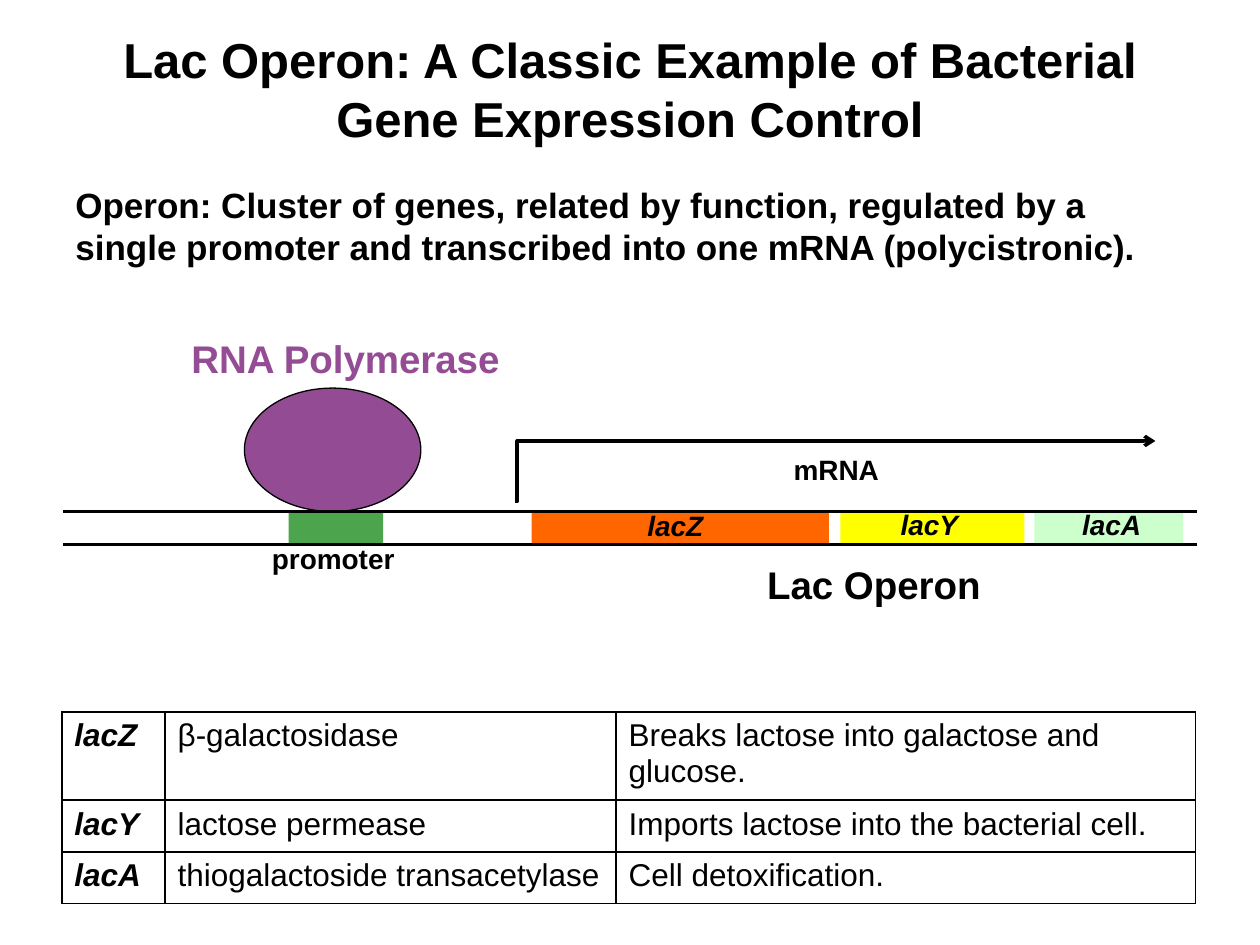
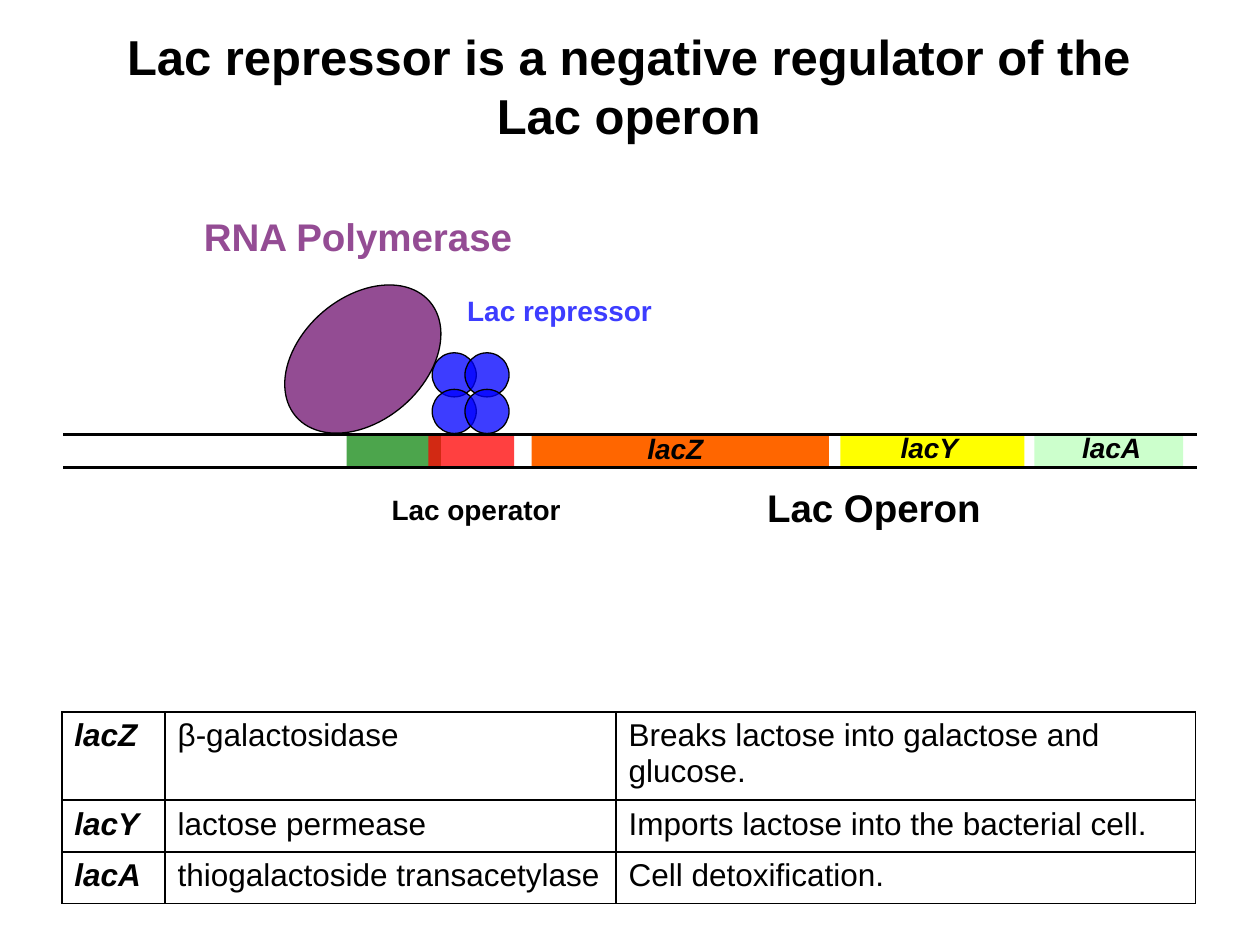
from lxml import etree
from pptx import Presentation
from pptx import util as u
from pptx.dml.color import RGBColor
from pptx.enum import shapes, text
from pptx.oxml import ns

BLACK = RGBColor(0, 0, 0)
PLUM = RGBColor(0x66, 0, 0x66)
MAUVE = RGBColor(0x94, 0x4C, 0x94)
GREEN = RGBColor(0, 0x80, 0)
RED = RGBColor(0xFF, 0, 0)
BLUE = RGBColor(0, 0, 0xFF)
SKY = RGBColor(0x3D, 0x3D, 0xFF)
ORANGE = RGBColor(0xFF, 0x66, 0)
YELLOW = RGBColor(0xFF, 0xFF, 0)
MINT = RGBColor(0xCC, 0xFF, 0xCC)

RECT = shapes.MSO_SHAPE.RECTANGLE
OVAL = shapes.MSO_SHAPE.OVAL
TALL = 0.27

GENES = [
    ("lacZ", 3.72, 2.36, ORANGE, 4.54, -0.07, 0.71),
    ("lacY", 6.17, 1.46, YELLOW, 6.55, -0.08, 0.74),
    ("lacA", 7.71, 1.18, MINT, 7.99, -0.08, 0.75),
]
ROWS = [
    ("lacZ", "β-galactosidase", "Breaks lactose into galactose and glucose."),
    ("lacY", "lactose permease", "Imports lactose into the bacterial cell."),
    ("lacA", "thiogalactoside transacetylase", "Cell detoxification."),
]


def box(*sides):
    return [u.Inches(side) for side in sides]


def style(font, size, color=BLACK, bold=True, italic=False):
    look = {"name": "Arial", "size": u.Pt(size), "bold": bold, "italic": italic}
    for key, value in look.items():
        setattr(font, key, value)
    font.color.rgb = color


def sub(node, tag, **attrs):
    return etree.SubElement(node, ns.qn(tag), **attrs)


def label(slide, words, place, size=16, color=BLACK, italic=False, wrap=False):
    frame = slide.shapes.add_textbox(*box(*place)).text_frame
    frame.word_wrap = wrap
    frame.text = words
    style(frame.paragraphs[0].font, size, color, italic=italic)


def shape(slide, kind, place, color, alpha=100, edge=False):
    item = slide.shapes.add_shape(kind, *box(*place))
    item.shadow.inherit = False
    item.fill.solid()
    item.fill.fore_color.rgb = color
    if alpha < 100:
        tone = item.fill._xPr.find(".//" + ns.qn("a:srgbClr"))
        sub(tone, "a:alpha", val=str(alpha * 1000))
    if edge:
        item.line.color.rgb = BLACK
        item.line.width = u.Pt(0.75)
    else:
        item.line.fill.background()
    return item


def line(slide, ends, kind=shapes.MSO_CONNECTOR.STRAIGHT):
    item = slide.shapes.add_connector(kind, *box(*ends))
    item.line.color.rgb = BLACK
    item.line.width = u.Pt(2)
    sub(item._element.spPr, "a:effectLst")
    return item


def title(slide, words, place):
    head = slide.shapes.title
    for key, value in zip(("left", "top", "width", "height"), box(*place)):
        setattr(head, key, value)
    frame = head.text_frame
    frame.text = words
    look = {"word_wrap": True, "auto_size": text.MSO_AUTO_SIZE.NONE,
            "vertical_anchor": text.MSO_ANCHOR.MIDDLE}
    for key, value in look.items():
        setattr(frame, key, value)
    frame.paragraphs[0].alignment = text.PP_ALIGN.CENTER
    style(frame.paragraphs[0].font, 28)


def enzyme(slide, x, y, name_x, name_y, turn=0):
    oval = shape(slide, OVAL, (x, y, 1.4, 0.98), PLUM, 70, True)
    oval.rotation = turn
    label(slide, "RNA Polymerase", (x + name_x, y + name_y, 2.68, 0.47), 22, MAUVE)


def operon(slide, x, y, sites):
    for left, wide, color, alpha in sites:
        shape(slide, RECT, (x + left, y, wide, TALL), color, alpha)
    for name, left, wide, color, name_x, name_y, name_w in GENES:
        shape(slide, RECT, (x + left, y, wide, TALL), color)
        label(slide, name, (x + name_x, y + name_y, name_w, 0.4), italic=True)
    label(slide, "Lac Operon", (x + 5.49, y + 0.34, 1.92, 0.47), 22)
    for strand in (y, y + 0.26):
        line(slide, (x, strand, x + 9, strand))


def mrna(slide, x, y):
    arrow = line(slide, (x, y + 0.48, x + 5.08, y), shapes.MSO_CONNECTOR.ELBOW)
    form = arrow._element.spPr.find(ns.qn("a:prstGeom"))
    guides = form.find(ns.qn("a:avLst"))
    if guides is None:
        guides = sub(form, "a:avLst")
    sub(guides, "a:gd", name="adj1", fmla="val 300")
    sub(arrow.line._get_or_add_ln(), "a:tailEnd", type="arrow")
    label(slide, "mRNA", (x + 2.11, y + 0.04, 0.97, 0.4))


def repress(slide, x, y):
    for row in range(2):
        for col in range(2):
            place = (x + col * 0.26, y + row * 0.29, 0.35, 0.35)
            shape(slide, OVAL, place, BLUE, 76, True)
    label(slide, "Lac repressor", (x + 0.18, y - 0.52, 1.87, 0.4), color=SKY)


def border(cell):
    props = cell._tc.get_or_add_tcPr()
    for side in ("a:lnL", "a:lnR", "a:lnT", "a:lnB"):
        edge = sub(props, side, w=str(u.Pt(1)))
        sub(sub(edge, "a:solidFill"), "a:srgbClr", val=str(BLACK))
    cell.fill.background()


def table(slide, x, y):
    grid = slide.shapes.add_table(3, 3, *box(x, y, 9, 1.52)).table
    grid.first_row = grid.horz_banding = False
    for col, wide in zip(grid.columns, (0.82, 3.58, 4.6)):
        col.width = u.Inches(wide)
    for row, tall in zip(grid.rows, (0.7, 0.41, 0.41)):
        row.height = u.Inches(tall)
    for r, words in enumerate(ROWS):
        for c, word in enumerate(words):
            cell = grid.cell(r, c)
            cell.text = word
            style(cell.text_frame.paragraphs[0].font, 18, bold=c == 0, italic=c == 0)
            border(cell)


def active(slide):
    title(slide, "Lac Operon: A Classic Example of Bacterial Gene Expression Control",
          (0.5, 0.08, 9, 1.25))
    mrna(slide, 4.09, 3.5)
    enzyme(slide, 1.94, 3.08, -0.52, -0.47)
    table(slide, 0.49, 5.65)
    label(slide, "Operon: Cluster of genes, related by function, regulated by a single "
          "promoter and transcribed into one mRNA (polycistronic).",
          (0.5, 1.41, 9, 0.77), 20, wrap=True)
    operon(slide, 0.5, 4.06, [(1.79, 0.75, GREEN, 70)])
    label(slide, "promoter", (2.06, 4.25, 1.31, 0.4))


def blocked(slide):
    title(slide, "Lac repressor is a negative regulator of the Lac operon",
          (0.55, 0.05, 8.88, 1.25))
    repress(slide, 3.43, 2.8)
    operon(slide, 0.5, 3.45, [(2.25, 0.75, GREEN, 70), (2.9, 0.68, RED, 75)])
    label(slide, "Lac operator", (3.01, 3.86, 1.73, 0.4))
    enzyme(slide, 2.18, 2.36, -0.66, -0.72, 319.4)
    table(slide, 0.49, 5.65)


def main():
    deck = Presentation()
    deck.slide_width, deck.slide_height = box(10, 7.5)
    for build in (active, blocked):
        build(deck.slides.add_slide(deck.slide_layouts[5]))
    deck.save("out.pptx")


if __name__ == "__main__":
    main()
